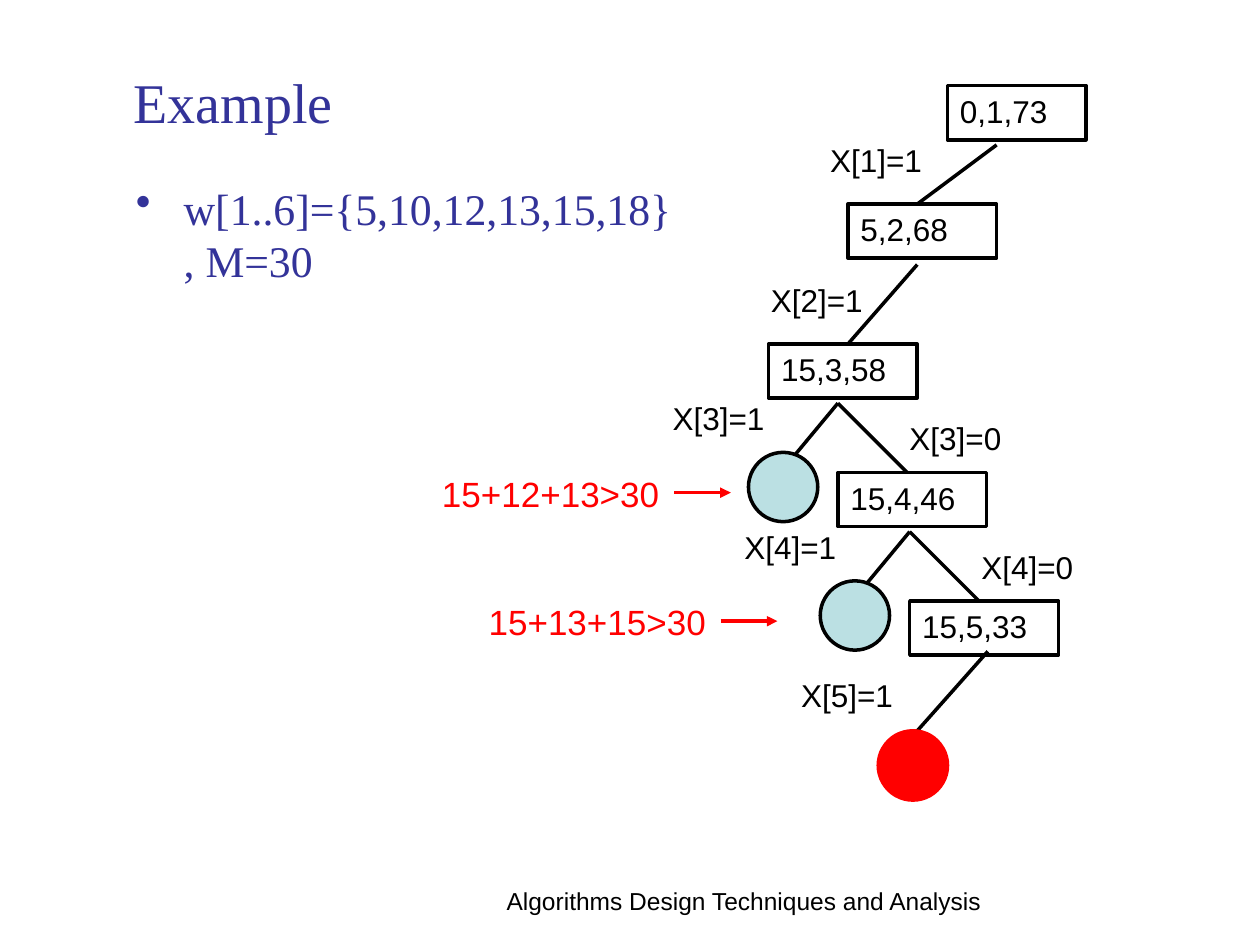
import pptx
import pptx.util
import pptx.dml.color
import pptx.enum.shapes
import pptx.enum.text
import pptx.oxml.ns
import lxml.etree

Inches = pptx.util.Inches
Pt = pptx.util.Pt
RGBColor = pptx.dml.color.RGBColor
MSO_SHAPE = pptx.enum.shapes.MSO_SHAPE
PP_ALIGN = pptx.enum.text.PP_ALIGN
MSO_ANCHOR = pptx.enum.text.MSO_ANCHOR
qn = pptx.oxml.ns.qn

BLACK = RGBColor(0x00, 0x00, 0x00)
RED = RGBColor(0xFF, 0x00, 0x00)
WHITE = RGBColor(0xFF, 0xFF, 0xFF)
INDIGO = RGBColor(0x33, 0x33, 0x99)
PALE_TEAL = RGBColor(0xBB, 0xE0, 0xE3)

NODE_W, NODE_H, CIRCLE = 1.18, 0.43, 0.55


def add_run(p, text, size, color=BLACK, font="Arial"):
    r = p.add_run()
    r.text = text
    r.font.size = Pt(size)
    r.font.name = font
    r.font.color.rgb = color


def add_text(s, box, text, size, color=BLACK, font="Arial", wrap=False):
    tf = s.shapes.add_textbox(*map(Inches, box)).text_frame
    tf.word_wrap = wrap
    p = tf.paragraphs[0]
    p.alignment = PP_ALIGN.LEFT
    add_run(p, text, size, color, font)
    return p


def add_shape(s, kind, box, line=BLACK, fill=None):
    sp = s.shapes.add_shape(kind, *map(Inches, box))
    sp.shadow.inherit = False
    sp.line.color.rgb = line
    sp.line.width = Pt(2)
    if fill is None:
        sp.fill.background()
    else:
        sp.fill.solid()
        sp.fill.fore_color.rgb = fill
    return sp


def add_line(s, start, end, color=BLACK, arrow=False):
    line = s.shapes.add_connector(
        pptx.enum.shapes.MSO_CONNECTOR.STRAIGHT, *map(Inches, start + end))
    line.line.color.rgb = color
    line.line.width = Pt(2)
    if arrow:
        ln = line.line._get_or_add_ln()
        lxml.etree.SubElement(ln, qn("a:tailEnd"), type="triangle")
    lxml.etree.SubElement(line._element.spPr, qn("a:effectLst"))


def add_node(s, x, y, text, w=NODE_W):
    tf = add_shape(s, MSO_SHAPE.RECTANGLE, (x, y, w, NODE_H)).text_frame
    tf.word_wrap = True
    tf.vertical_anchor = MSO_ANCHOR.TOP
    p = tf.paragraphs[0]
    p.alignment = PP_ALIGN.LEFT
    add_run(p, text, 18)


def add_circle(s, x, y, line, fill):
    add_shape(s, MSO_SHAPE.OVAL, (x, y, CIRCLE, CIRCLE), line, fill)


def add_edge_label(s, x, y, text):
    add_text(s, (x, y, 0.93, 0.4), text, 18)


def add_title(s, box):
    title = s.shapes.title
    title.left, title.top, title.width, title.height = map(Inches, box)
    tf = title.text_frame
    tf.vertical_anchor = MSO_ANCHOR.MIDDLE
    p = tf.paragraphs[0]
    p.alignment = PP_ALIGN.LEFT
    add_run(p, "Example", 32, INDIGO, "Times New Roman")


def add_problem(s, box):
    p = add_text(s, box, "w[1..6]={5,10,12,13,15,18}, M=30", 25,
                 INDIGO, "Times New Roman", wrap=True)
    pPr = p._p.get_or_add_pPr()
    pPr.set("marL", str(Inches(0.38)))
    pPr.set("indent", str(-Inches(0.38)))
    lxml.etree.SubElement(pPr, qn("a:buChar"), char="•")


def add_chain(s, x, y):
    add_node(s, x + 1.42, y, "0,1,73", 1.1)
    add_line(s, (x + 1.81, y + 0.47), (x + 1.18, y + 0.94))
    add_edge_label(s, x + 0.39, y + 0.39, "X[1]=1")
    add_node(s, x + 0.63, y + 0.94, "5,2,68")
    add_line(s, (x + 1.18, y + 1.42), (x + 0.63, y + 2.05))
    add_edge_label(s, x - 0.08, y + 1.5, "X[2]=1")
    add_node(s, x, y + 2.05, "15,3,58")


def add_branch(s, x, y, item, child):
    add_line(s, (x, y), (x - 0.39, y + 0.47))
    add_edge_label(s, x - 1.41, y - 0.08, f"X[{item}]=1")
    add_circle(s, x - 0.71, y + 0.39, BLACK, PALE_TEAL)
    add_line(s, (x, y), (x + 0.55, y + 0.55))
    add_node(s, x, y + 0.55, child)
    add_edge_label(s, x + 0.47, y + 0.08, f"X[{item}]=0")


def add_solution(s, x, y):
    add_line(s, (x, y), (x - 0.56, y + 0.63))
    add_edge_label(s, x - 1.58, y + 0.15, "X[5]=1")
    add_circle(s, x - 0.87, y + 0.63, RED, RED)


def add_overflow_note(s, x, y, text):
    add_text(s, (x, y, 1.94, 0.44), text, 20, RED)
    add_line(s, (x + 1.94, y + 0.21), (x + 2.39, y + 0.21), RED, arrow=True)


def add_footer(s, box):
    p = add_text(s, box, "Algorithms Design Techniques and Analysis", 14,
                 wrap=True)
    p.alignment = PP_ALIGN.CENTER


def main():
    prs = pptx.Presentation()
    prs.slide_width, prs.slide_height = Inches(10), Inches(7.5)
    s = prs.slides.add_slide(prs.slide_layouts.get_by_name("Title Only"))
    s.background.fill.solid()
    s.background.fill.fore_color.rgb = WHITE
    add_footer(s, (3.82, 6.98, 4.17, 0.47))
    add_title(s, (0.96, 0.3, 8.61, 1.01))
    add_problem(s, (0.98, 1.39, 4.49, 1.26))
    add_chain(s, 6.1, 0.68)
    add_branch(s, 6.65, 3.2, 3, "15,4,46")
    add_branch(s, 7.22, 4.22, 4, "15,5,33")
    add_solution(s, 7.84, 5.17)
    add_overflow_note(s, 3.41, 3.7, "15+12+13>30")
    add_overflow_note(s, 3.78, 4.72, "15+13+15>30")
    prs.save("out.pptx")


if __name__ == "__main__":
    main()
